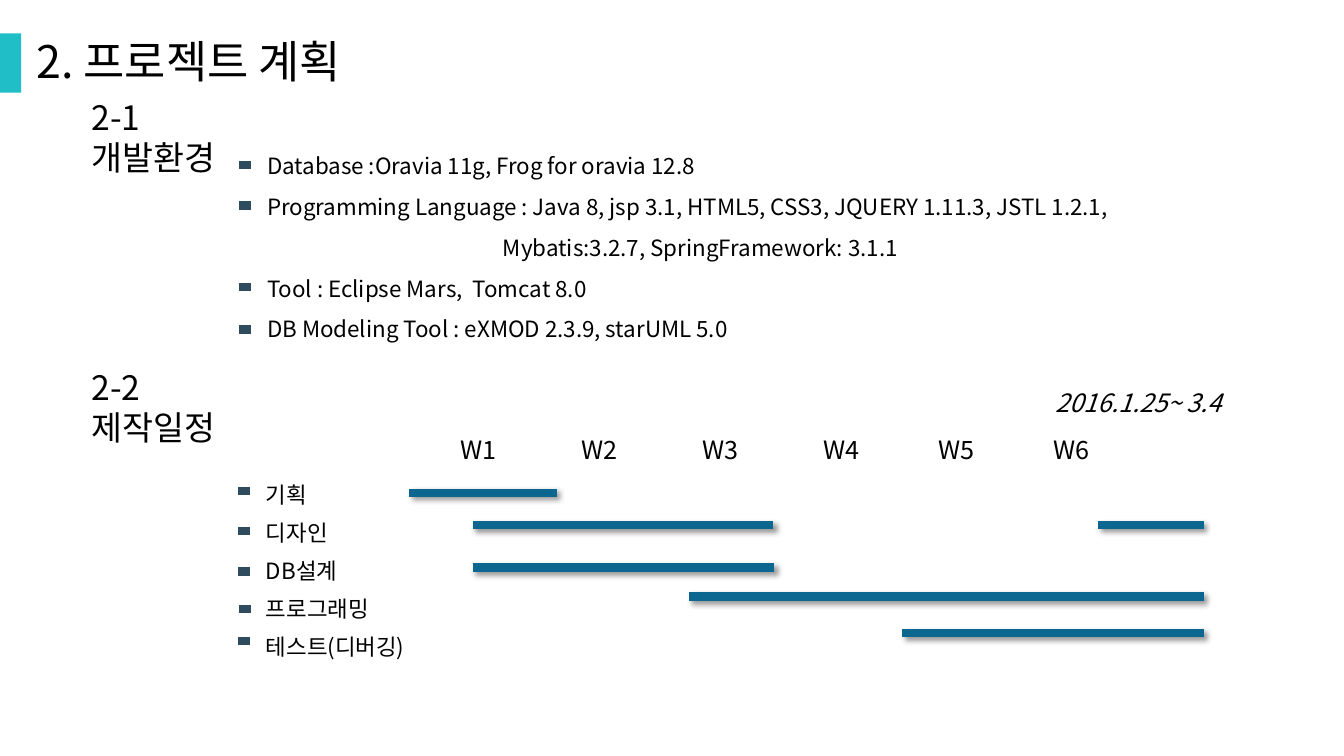
from lxml import etree
from pptx import Presentation
from pptx.dml.color import RGBColor
from pptx.enum.shapes import MSO_CONNECTOR, MSO_SHAPE
from pptx.enum.text import MSO_ANCHOR, PP_ALIGN
from pptx.oxml import parse_xml
from pptx.oxml.ns import nsdecls, qn
from pptx.util import Inches, Pt

FONT = "Noto Sans CJK KR"
BLACK, TEAL, SLATE, BLUE = "000000", "20BEC7", "2E4C5E", "0B678F"

ENVIRONMENT = [
    "Database :Oravia 11g, Frog for oravia 12.8",
    "Programming Language : Java 8, jsp 3.1, HTML5, CSS3, JQUERY 1.11.3, JSTL 1.2.1,",
    "Mybatis:3.2.7, SpringFramework: 3.1.1",
    "Tool : Eclipse Mars,  Tomcat 8.0",
    "DB Modeling Tool : eXMOD 2.3.9, starUML 5.0",
]
TASKS = ["기획", "디자인", "DB설계", "프로그래밍", "테스트(디버깅)"]
WEEKS = ["W1", "W2", "W3", "W4", "W5", "W6"]
WEEK_TABS = [1.2, 2.4, 3.6, 4.74, 5.88]
ENVIRONMENT_MARKERS = [(2.37, y) for y in (1.64, 2.04, 2.85, 3.27)]
TASK_MARKERS = [(2.36, 4.87), (2.36, 5.27), (2.36, 5.67), (2.37, 6.04), (2.36, 6.36)]
SCHEDULE_BARS = [
    (4.06, 5.52, 4.89),
    (4.69, 7.67, 5.21),
    (10.89, 11.94, 5.21),
    (4.69, 7.68, 5.63),
    (6.83, 11.94, 5.92),
    (8.95, 11.94, 6.28),
]


def color(value):
    """Turn a hex string into a colour."""
    return RGBColor.from_string(value)


def add_tabs(paragraph, positions):
    """Set left tab stops, given in inches."""
    properties = paragraph._p.get_or_add_pPr()
    tab_list = etree.SubElement(properties, qn("a:tabLst"))
    for position in positions:
        tab = etree.SubElement(tab_list, qn("a:tab"))
        tab.set("pos", str(Inches(position)))
        tab.set("algn", "l")


def write_text(shape, lines, size=16, italic=False, gap=0, spacing=None,
               tabs=(), indents=None, anchor=MSO_ANCHOR.TOP):
    """Fill a shape with one formatted paragraph per line."""
    frame = shape.text_frame
    frame.word_wrap = True
    frame.vertical_anchor = anchor
    for index, line in enumerate(lines):
        paragraph = frame.paragraphs[0] if index == 0 else frame.add_paragraph()
        if tabs:
            add_tabs(paragraph, tabs)
        if indents and index in indents:
            paragraph._p.get_or_add_pPr().set("marL", str(Inches(indents[index])))
        paragraph.alignment = PP_ALIGN.LEFT
        paragraph.space_before = Pt(gap if index else 0)
        if spacing:
            paragraph.line_spacing = spacing
        run = paragraph.add_run()
        run.text = line
        run.font.name = FONT
        run.font.size = Pt(size)
        run.font.italic = italic
        run.font.color.rgb = color(BLACK)
        east_asian = etree.SubElement(run._r.get_or_add_rPr(), qn("a:ea"))
        east_asian.set("typeface", FONT)


def add_text(slide, left, top, width, height, lines, **formatting):
    """Add a text box with formatted lines."""
    box = slide.shapes.add_textbox(Inches(left), Inches(top), Inches(width), Inches(height))
    write_text(box, lines, **formatting)


def add_title(slide, text):
    """Place and format the title placeholder."""
    title = slide.shapes.title
    title.left, title.top = Inches(0.26), Inches(0.28)
    title.width, title.height = Inches(6.47), Inches(0.64)
    write_text(title, [text], size=32, anchor=MSO_ANCHOR.MIDDLE)


def add_accent(slide):
    """Add the teal block beside the title."""
    block = slide.shapes.add_shape(
        MSO_SHAPE.RECTANGLE, 0, Inches(0.33), Inches(0.21), Inches(0.59))
    block.shadow.inherit = False
    block.fill.solid()
    block.fill.fore_color.rgb = color(TEAL)
    block.line.fill.background()


def add_bar(slide, start, end, y, line_color, shadow=False):
    """Add a thick horizontal line, with a soft shadow if asked."""
    bar = slide.shapes.add_connector(
        MSO_CONNECTOR.STRAIGHT, Inches(start), Inches(y), Inches(end), Inches(y))
    bar.line.color.rgb = color(line_color)
    bar.line.width = Pt(6)
    effects = parse_xml(f"<a:effectLst {nsdecls('a')}/>")
    if shadow:
        effects.append(parse_xml(
            f'<a:outerShdw {nsdecls("a")} blurRad="{Pt(4)}" dist="{Pt(3)}" '
            f'dir="{45 * 60000}" algn="tl" rotWithShape="0">'
            f'<a:srgbClr val="{BLACK}"><a:alpha val="40000"/></a:srgbClr></a:outerShdw>'))
    bar._element.spPr.append(effects)


def main():
    """Build the project plan slide."""
    presentation = Presentation()
    presentation.slide_width = Inches(13.33)
    presentation.slide_height = Inches(7.5)
    slide = presentation.slides.add_slide(presentation.slide_layouts[5])
    add_title(slide, "2. 프로젝트 계획")
    add_accent(slide)
    for top, heading in ((0.91, "2-1 개발환경"), (3.59, "2-2 제작일정")):
        add_text(slide, 0.81, top, 1.5, 0.9, [heading], size=24)
    add_text(slide, 2.55, 1.46, 10.38, 2.01, ENVIRONMENT, gap=10, indents={2: 2.34})
    add_text(slide, 2.54, 4.75, 6.34, 1.98, TASKS, gap=10, spacing=0.9)
    add_text(slide, 4.47, 4.26, 8.65, 0.4, ["\t".join(WEEKS)], size=18, tabs=WEEK_TABS)
    add_text(slide, 10.37, 3.79, 2, 0.4, ["2016.1.25~ 3.4"], size=18, italic=True)
    for left, y in ENVIRONMENT_MARKERS + TASK_MARKERS:
        add_bar(slide, left, left + 0.12, y, SLATE)
    for start, end, y in SCHEDULE_BARS:
        add_bar(slide, start, end, y, BLUE, shadow=True)
    presentation.save("out.pptx")


if __name__ == "__main__":
    main()
